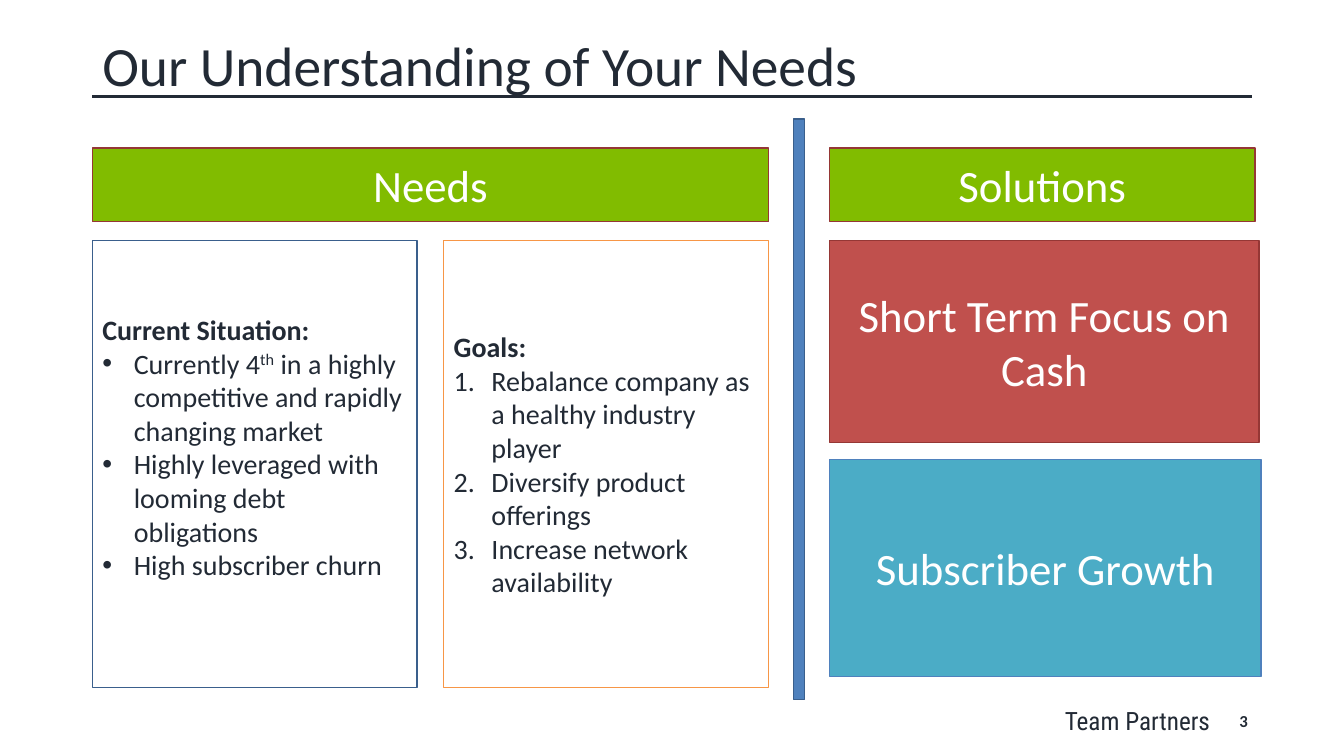
from dataclasses import dataclass, field
from typing import Optional

from lxml.etree import SubElement
from pptx import Presentation
from pptx.dml.color import RGBColor
from pptx.enum.shapes import MSO_CONNECTOR, MSO_SHAPE
from pptx.enum.text import MSO_ANCHOR, PP_ALIGN
from pptx.oxml.ns import qn
from pptx.util import Pt

INK = "222A35"
WHITE = "FFFFFF"
GREEN = "81BC00"
WINE = "953735"
NAVY = "3A5F8C"
BLUE = "4F81BD"
LEFT, RIGHT = 66, 592.6
HEAD_TOP, HEAD_HIGH = 105.8, 52.6
BODY_TOP = 172
CARD_WIDE, CARD_HIGH = 232, 319
NEED_WIDE = 483


@dataclass
class Line:
    text: str
    bold: bool = False
    mark: str = ""
    dent: float = 0
    space: float = 1


@dataclass
class Box:
    left: float
    top: float
    wide: float
    high: float
    lines: list[Line] = field(default_factory=list)
    size: float = 32
    ink: str = WHITE
    align: PP_ALIGN = PP_ALIGN.CENTER
    fill: Optional[str] = None
    edge: Optional[str] = None
    face: str = "Calibri"
    foot: float = 3.6


def color(code: str) -> RGBColor:
    return RGBColor.from_string(code)


def apply(target, values: dict) -> None:
    for name, value in values.items():
        setattr(target, name, value)


def add_mark(para, line: Line) -> None:
    props = para._p.get_or_add_pPr()
    props.set("marL", str(Pt(line.dent)))
    props.set("indent", str(-Pt(line.dent)))
    if line.mark == "1.":
        SubElement(props, qn("a:buAutoNum"), type="arabicPeriod")
    else:
        SubElement(props, qn("a:buFont"), typeface="Arial")
        SubElement(props, qn("a:buChar"), char=line.mark)


def write(frame, box: Box) -> None:
    apply(frame, {
        "word_wrap": True,
        "vertical_anchor": MSO_ANCHOR.MIDDLE,
        "margin_left": Pt(7.2),
        "margin_right": Pt(7.2),
        "margin_top": Pt(3.6),
        "margin_bottom": Pt(box.foot),
    })
    for index, line in enumerate(box.lines):
        para = frame.add_paragraph() if index else frame.paragraphs[0]
        apply(para, {"alignment": box.align, "line_spacing": line.space})
        if line.mark:
            add_mark(para, line)
        for turn, part in enumerate(line.text.split("^")):
            run = para.add_run()
            run.text = part
            apply(run.font, {"name": box.face, "size": Pt(box.size), "bold": line.bold})
            run.font.color.rgb = color(box.ink)
            if turn % 2:
                run._r.get_or_add_rPr().set("baseline", "30000")


def draw(slide, box: Box) -> None:
    place = [Pt(value) for value in (box.left, box.top, box.wide, box.high)]
    if box.edge:
        shape = slide.shapes.add_shape(MSO_SHAPE.RECTANGLE, *place)
        shape.shadow.inherit = False
        if box.fill:
            shape.fill.solid()
            shape.fill.fore_color.rgb = color(box.fill)
        else:
            shape.fill.background()
        shape.line.color.rgb = color(box.edge)
        shape.line.width = Pt(1)
    else:
        shape = slide.shapes.add_textbox(*place)
    write(shape.text_frame, box)


def rule(slide, start: float, end: float, top: float) -> None:
    line = slide.shapes.add_connector(
        MSO_CONNECTOR.STRAIGHT, Pt(start), Pt(top), Pt(end), Pt(top))
    line.line.color.rgb = color(INK)
    line.line.width = Pt(2.25)
    SubElement(line._element.spPr, qn("a:effectLst"))


def card(left: float, edge: str, head: str, mark: str, dent: float,
         items: list[str], foot: float = 3.6) -> Box:
    lines = [Line(head, bold=True)] + [Line(item, mark=mark, dent=dent) for item in items]
    return Box(left, BODY_TOP, CARD_WIDE, CARD_HIGH, lines, 20, INK,
               PP_ALIGN.LEFT, edge=edge, foot=foot)


def panel(left: float, top: float, wide: float, high: float,
          text: str, fill: str, edge: str) -> Box:
    return Box(left, top, wide, high, [Line(text)], fill=fill, edge=edge)


BOXES = [
    Box(751, 503.3, 123, 23, [Line("Team Partners")], 18, INK, face="Roboto Condensed"),
    Box(LEFT, 29, 828, 40, [Line("Our Understanding of Your Needs", space=0.9)],
        39.6, INK, PP_ALIGN.LEFT),
    Box(682.5, 500.4, 216, 28.8, [Line("3", bold=True)], 12, INK, PP_ALIGN.RIGHT),
    Box(566.8, 85, 8, 414.7, fill=BLUE, edge=NAVY),
    card(LEFT + NEED_WIDE - CARD_WIDE, "F79646", "Goals:", "1.", 27, [
        "Rebalance company as a healthy industry player",
        "Diversify product offerings",
        "Increase network availability",
    ]),
    card(LEFT, NAVY, "Current Situation:", "•", 22.5, [
        "Currently 4^th^ in a highly competitive and rapidly changing market",
        "Highly leveraged with looming debt obligations",
        "High subscriber churn",
    ], foot=28),
    panel(RIGHT, BODY_TOP, 306.7, 144, "Short Term Focus on Cash", "C0504D", WINE),
    panel(RIGHT, 328.3, 308.2, 154.8, "Subscriber Growth", "4BACC6", BLUE),
    panel(LEFT, HEAD_TOP, NEED_WIDE, HEAD_HIGH, "Needs", GREEN, WINE),
    panel(RIGHT, HEAD_TOP, 303.8, HEAD_HIGH, "Solutions", GREEN, WINE),
]


def main() -> None:
    deck = Presentation()
    apply(deck, {"slide_width": Pt(960), "slide_height": Pt(540)})
    slide = deck.slides.add_slide(deck.slide_layouts[6])
    rule(slide, LEFT, 894, 69)
    for box in BOXES:
        draw(slide, box)
    deck.save("out.pptx")


if __name__ == "__main__":
    main()
